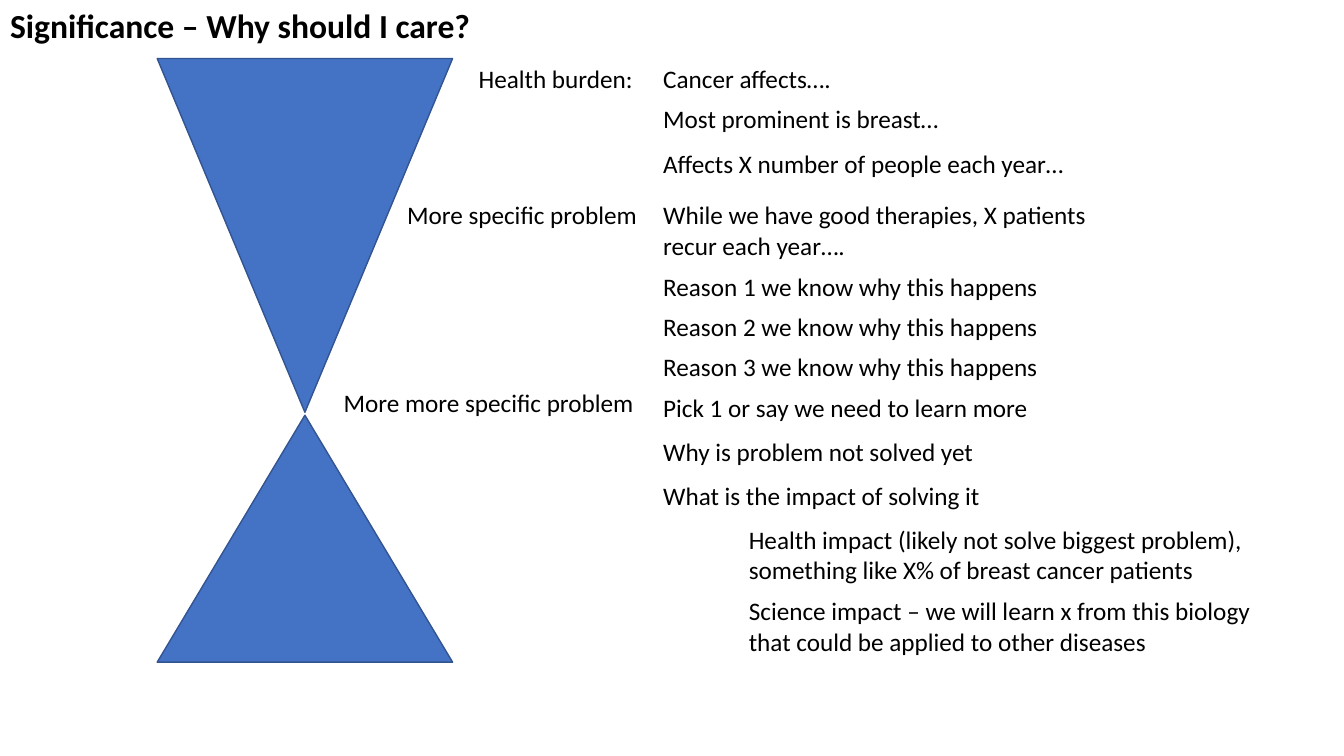
from dataclasses import dataclass

from pptx import Presentation
from pptx.dml.color import RGBColor
from pptx.enum.shapes import MSO_SHAPE as Preset
from pptx.enum.text import MSO_ANCHOR as Anchor, MSO_AUTO_SIZE as AutoSize, PP_ALIGN as Align
from pptx.util import Pt


@dataclass(frozen=True)
class Theme:
    font: str = "Calibri"
    title_size: int = 24
    body_size: int = 18
    text: RGBColor = RGBColor(0, 0, 0)
    fill: RGBColor = RGBColor.from_string("4472C4")
    outline: RGBColor = RGBColor.from_string("325491")


THEME = Theme()
TITLE_ONLY = 5
LINE_HEIGHT = 28.8
TWO_LINE_HEIGHT = 51
POINTS_LEFT = 466.6
IMPACTS_LEFT = 527.8
POINTS_WIDTH = 350
IMPACTS_WIDTH = 378.7
FUNNEL_LEFT = 112.3
FUNNEL_WIDTH = 211

LABELS = [
    ("Health burden:", 41.8, 131.8),
    ("More specific problem", 139, 182.9),
    ("More more specific problem", 272.9, 228.2),
]
POINTS = [
    ("Cancer affects….", 41.8, LINE_HEIGHT),
    ("Most prominent is breast…", 70.6, LINE_HEIGHT),
    ("Affects X number of people each year…", 102.2, LINE_HEIGHT),
    ("While we have good therapies, X patients recur each year….", 139, TWO_LINE_HEIGHT),
    *[(f"Reason {number} we know why this happens", 161.3 + number * LINE_HEIGHT, LINE_HEIGHT)
      for number in (1, 2, 3)],
    ("Pick 1 or say we need to learn more", 276.5, LINE_HEIGHT),
    ("Why is problem not solved yet", 308.2, LINE_HEIGHT),
    ("What is the impact of solving it", 339.8, LINE_HEIGHT),
]
IMPACTS = [
    ("Health impact (likely not solve biggest problem), something like X% of breast cancer patients", 370.8),
    ("Science impact – we will learn x from this biology that could be applied to other diseases", 421.9),
]


def write_text(shape, text, size, bold=False):
    frame = shape.text_frame
    frame.text = text
    frame.word_wrap = True
    frame.auto_size = AutoSize.SHAPE_TO_FIT_TEXT
    frame.vertical_anchor = Anchor.TOP
    paragraph = frame.paragraphs[0]
    paragraph.alignment = Align.LEFT
    font = paragraph.font
    font.name = THEME.font
    font.size = Pt(size)
    font.bold = bold
    font.color.rgb = THEME.text


def set_title(slide, text):
    title = slide.shapes.title
    title.left, title.top, title.width, title.height = Pt(0), Pt(0), Pt(454.3), Pt(36)
    write_text(title, text, THEME.title_size, bold=True)


def add_text(slide, text, left, top, width, height):
    box = slide.shapes.add_textbox(Pt(left), Pt(top), Pt(width), Pt(height))
    write_text(box, text, THEME.body_size)


def add_triangle(slide, top, height, rotation=0):
    triangle = slide.shapes.add_shape(
        Preset.ISOSCELES_TRIANGLE, Pt(FUNNEL_LEFT), Pt(top), Pt(FUNNEL_WIDTH), Pt(height)
    )
    triangle.rotation = rotation
    triangle.shadow.inherit = False
    triangle.fill.solid()
    triangle.fill.fore_color.rgb = THEME.fill
    triangle.line.color.rgb = THEME.outline
    triangle.line.width = Pt(1)


def main():
    presentation = Presentation()
    presentation.slide_width = Pt(960)
    presentation.slide_height = Pt(540)
    slide = presentation.slides.add_slide(presentation.slide_layouts[TITLE_ONLY])
    set_title(slide, "Significance – Why should I care?")
    add_triangle(slide, 41.8, 252.7, rotation=180)
    add_triangle(slide, 296.6, 176.4)
    for text, top, width in LABELS:
        add_text(slide, text, POINTS_LEFT - width, top, width, LINE_HEIGHT)
    for text, top, height in POINTS:
        add_text(slide, text, POINTS_LEFT, top, POINTS_WIDTH, height)
    for text, top in IMPACTS:
        add_text(slide, text, IMPACTS_LEFT, top, IMPACTS_WIDTH, TWO_LINE_HEIGHT)
    presentation.save("out.pptx")


if __name__ == "__main__":
    main()
